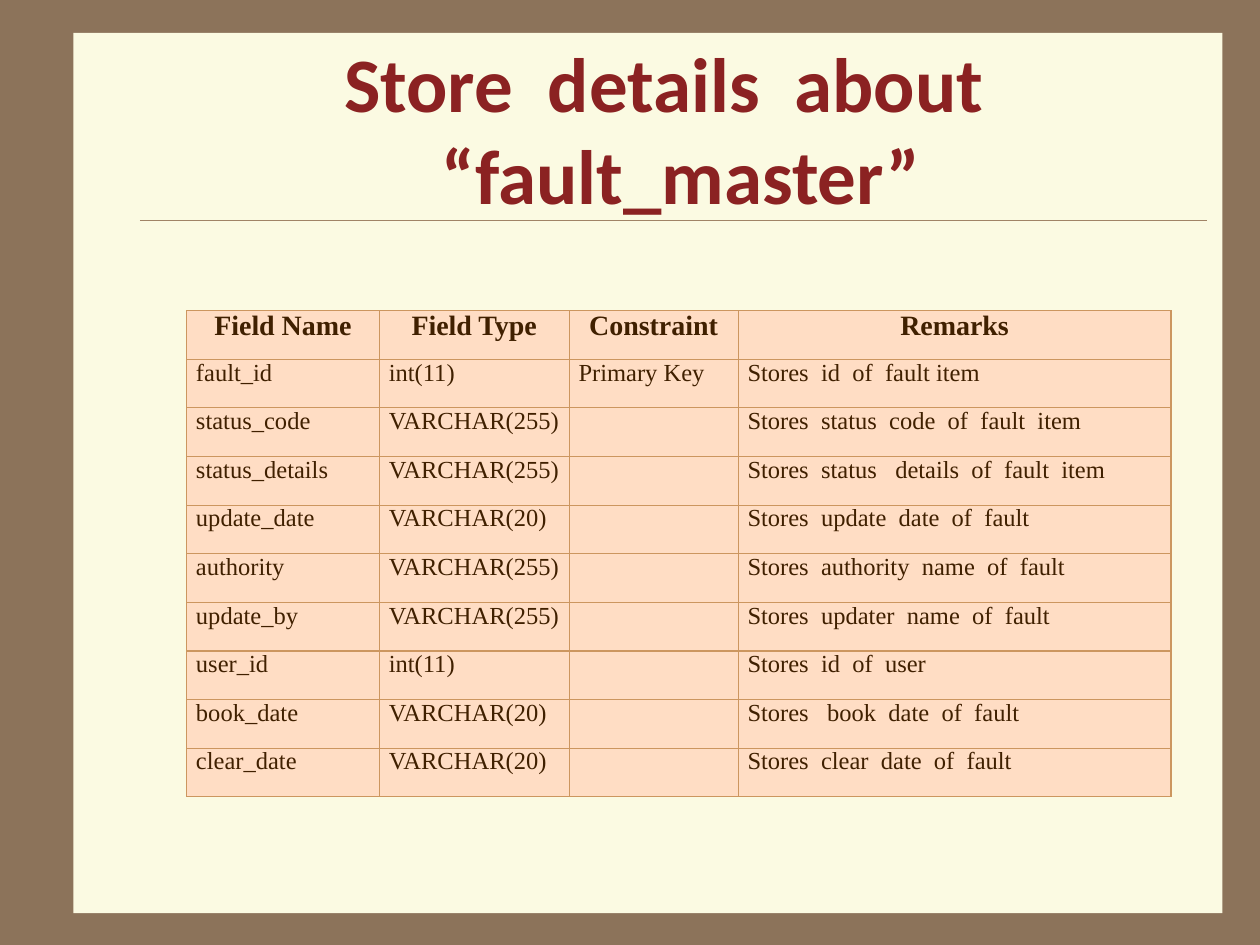
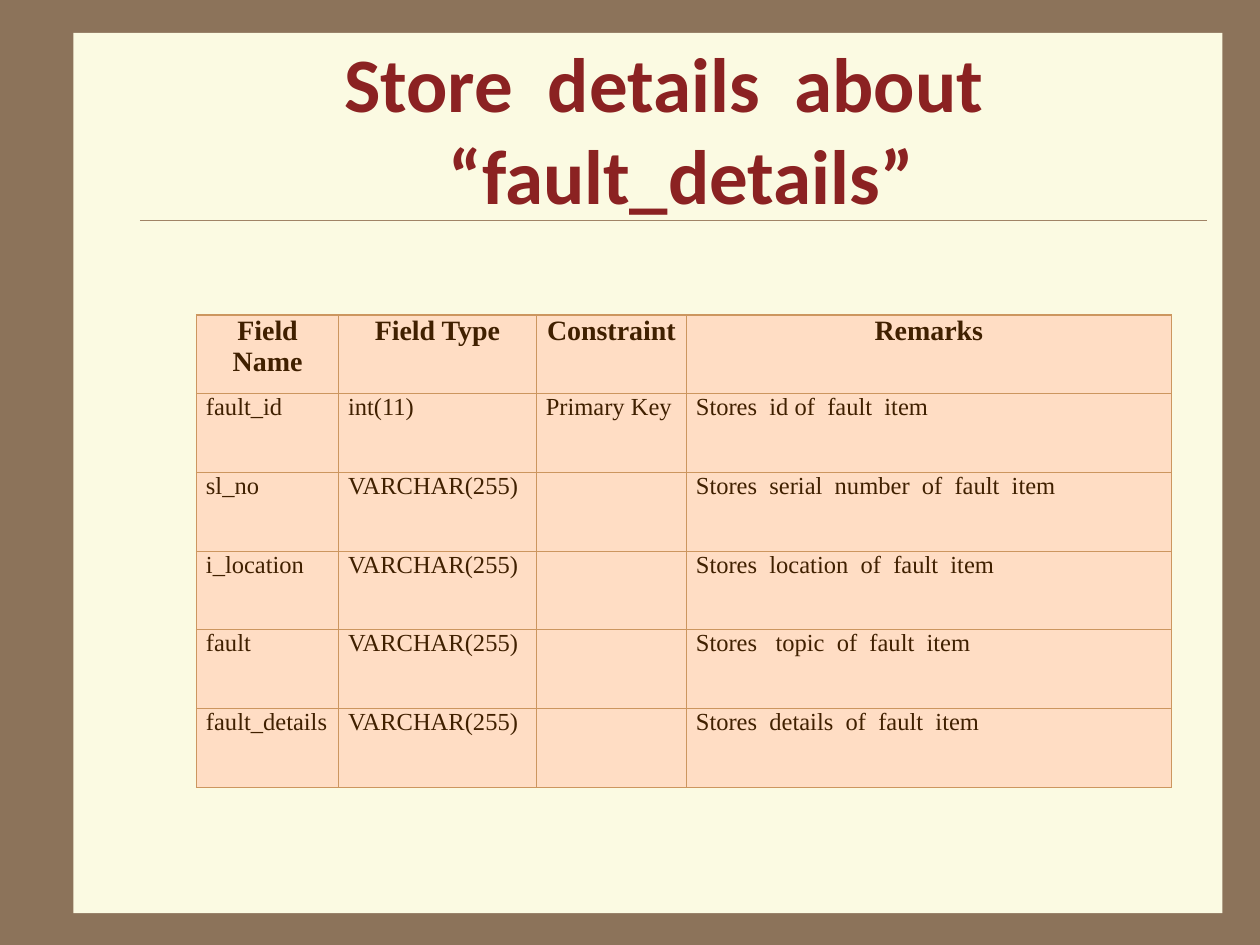
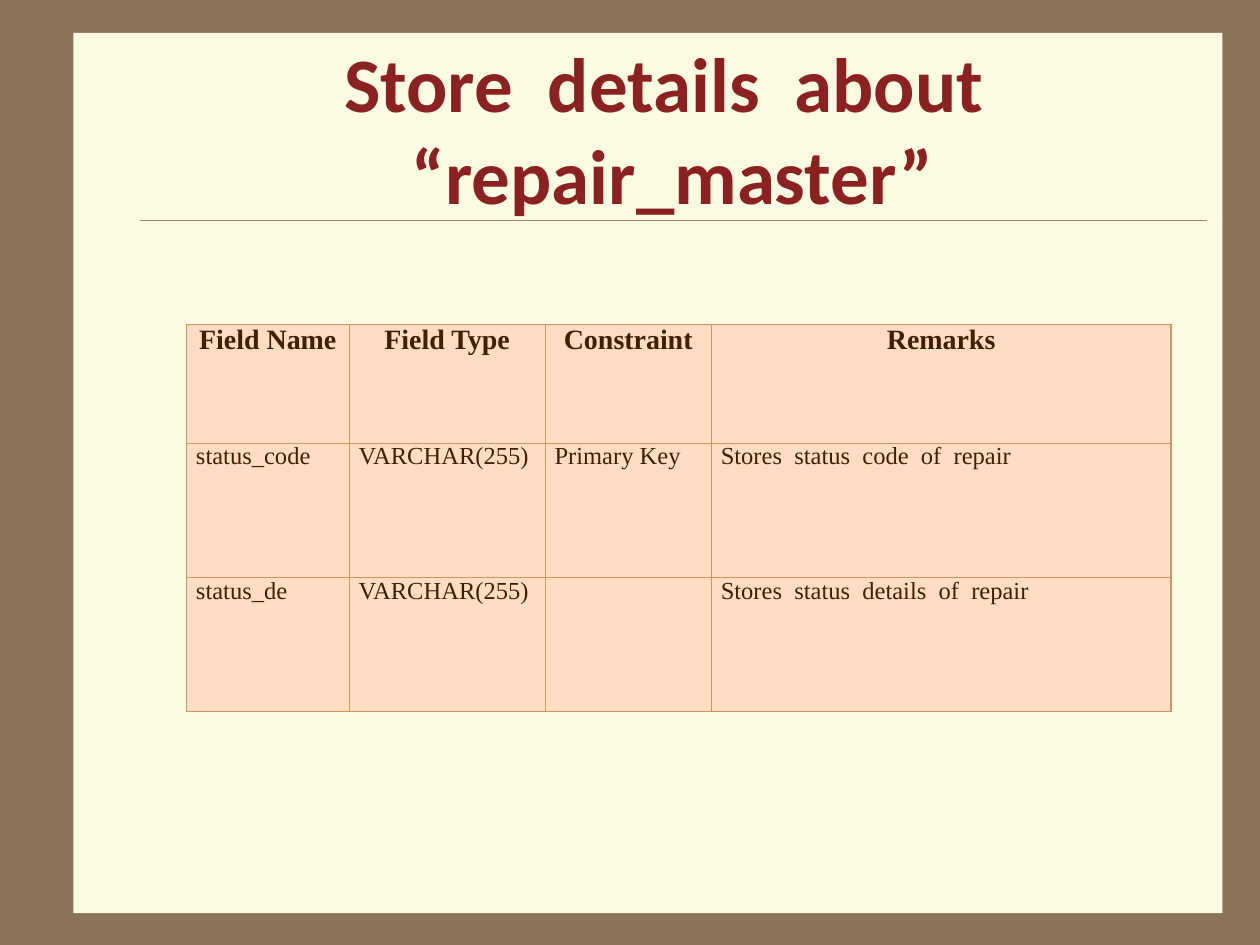
from dataclasses import dataclass

from lxml import etree
from pptx import Presentation
from pptx.dml.color import RGBColor
from pptx.enum import shapes, text
from pptx.oxml import ns
from pptx.util import Pt

BACKGROUND = "8C735A"
PANEL = "FBFAE2"
RULE = "A08366"
TITLE = "8B2222"
CELL_FILL = "FFDDC4"
CELL_BORDER = "CC965F"
CELL_TEXT = "402000"

TITLE_FONT = "Calibri"
TABLE_FONT = "Times New Roman"
HEADERS = ("Field Name", "Field Type", "Constraint", "Remarks")


@dataclass(frozen=True)
class Field:
    name: str
    type: str
    remarks: str
    constraint: str = ""


@dataclass(frozen=True)
class TableSlide:
    """A slide about one database table; lengths are in points."""
    title: str
    left: float
    top: float
    column_widths: tuple[float, ...]
    header_height: float
    row_height: float
    fields: tuple[Field, ...]


TABLE_SLIDES = (
    TableSlide(
        "Store  details  about \v “fault_master”", 106.6, 177.5,
        (110.2, 108.4, 96.6, 247.4), 27.8, 27.8,
        (
            Field("fault_id", "int(11)", "Stores  id  of  fault item", "Primary Key"),
            Field("status_code", "VARCHAR(255)", "Stores  status  code  of  fault  item"),
            Field("status_details", "VARCHAR(255)", "Stores  status   details  of  fault  item"),
            Field("update_date", "VARCHAR(20)", "Stores  update  date  of  fault"),
            Field("authority", "VARCHAR(255)", "Stores  authority  name  of  fault"),
            Field("update_by", "VARCHAR(255)", "Stores  updater  name  of  fault"),
            Field("user_id", "int(11)", "Stores  id  of  user"),
            Field("book_date", "VARCHAR(20)", "Stores   book  date  of  fault"),
            Field("clear_date", "VARCHAR(20)", "Stores  clear  date  of  fault"),
        ),
    ),
    TableSlide(
        "Store  details  about \v “fault_details”", 112.3, 180,
        (81.2, 113, 85.8, 277), 45, 45,
        (
            Field("fault_id", "int(11)", "Stores  id of  fault  item", "Primary Key"),
            Field("sl_no", "VARCHAR(255)", "Stores  serial  number  of  fault  item"),
            Field("i_location", "VARCHAR(255)", "Stores  location  of  fault  item"),
            Field("fault", "VARCHAR(255)", "Stores   topic  of  fault  item"),
            Field("fault_details", "VARCHAR(255)", "Stores  details  of  fault  item"),
        ),
    ),
    TableSlide(
        "Store  details  about \v“repair_master”", 106.6, 185.5,
        (92.9, 112, 95, 262.7), 67.7, 76.8,
        (
            Field("status_code", "VARCHAR(255)", "Stores  status  code  of  repair", "Primary Key"),
            Field("status_de", "VARCHAR(255)", "Stores  status  details  of  repair"),
        ),
    ),
)


def color(hex_value: str) -> RGBColor:
    return RGBColor.from_string(hex_value)


def format_paragraph(paragraph, font_name: str, size: float, hex_color: str,
                     bold: bool, centered: bool) -> None:
    paragraph.alignment = text.PP_ALIGN.CENTER if centered else text.PP_ALIGN.LEFT
    for run in paragraph.runs:
        run.font.name = font_name
        run.font.size = Pt(size)
        run.font.bold = bold
        run.font.color.rgb = color(hex_color)


def add_frame(slide) -> None:
    """Add the cream panel and the thin rule under the title."""
    panel = slide.shapes.add_shape(shapes.MSO_SHAPE.RECTANGLE,
                                   Pt(42), Pt(18.75), Pt(656.5), Pt(503))
    panel.shadow.inherit = False
    panel.fill.solid()
    panel.fill.fore_color.rgb = color(PANEL)
    panel.line.fill.background()

    rule = slide.shapes.add_connector(shapes.MSO_CONNECTOR.STRAIGHT,
                                      Pt(80), Pt(126), Pt(690), Pt(126))
    rule.line.color.rgb = color(RULE)
    rule.line.width = Pt(0.25)
    etree.SubElement(rule.element.spPr, ns.qn("a:effectLst"))


def add_title(slide, title: str) -> None:
    box = slide.shapes.add_textbox(Pt(78.5), Pt(28), Pt(612), Pt(90))
    frame = box.text_frame
    frame.word_wrap = True
    frame.vertical_anchor = text.MSO_ANCHOR.MIDDLE
    paragraph = frame.paragraphs[0]
    paragraph.text = title
    format_paragraph(paragraph, TITLE_FONT, 44, TITLE, bold=True, centered=True)


def add_borders(cell) -> None:
    properties = cell._tc.get_or_add_tcPr()
    for side in ("lnL", "lnR", "lnT", "lnB"):
        line = etree.SubElement(properties, ns.qn(f"a:{side}"), w=str(Pt(0.75)))
        fill = etree.SubElement(line, ns.qn("a:solidFill"))
        etree.SubElement(fill, ns.qn("a:srgbClr"), val=CELL_BORDER)


def fill_cell(cell, content: str, is_header: bool) -> None:
    cell.margin_left = cell.margin_right = Pt(5.4)
    cell.margin_top = cell.margin_bottom = Pt(0)
    add_borders(cell)
    cell.fill.solid()
    cell.fill.fore_color.rgb = color(CELL_FILL)
    if content:
        paragraph = cell.text_frame.paragraphs[0]
        paragraph.text = content
        format_paragraph(paragraph, TABLE_FONT, 16 if is_header else 14, CELL_TEXT,
                         bold=is_header, centered=is_header)


def add_field_table(slide, content: TableSlide) -> None:
    rows = [HEADERS] + [(field.name, field.type, field.constraint, field.remarks)
                        for field in content.fields]
    height = content.header_height + content.row_height * len(content.fields)
    table = slide.shapes.add_table(
        len(rows), len(HEADERS), Pt(content.left), Pt(content.top),
        Pt(sum(content.column_widths)), Pt(height)).table
    table.first_row = table.horz_banding = False
    for column, width in zip(table.columns, content.column_widths):
        column.width = Pt(width)
    for row_index, values in enumerate(rows):
        is_header = row_index == 0
        table.rows[row_index].height = Pt(
            content.header_height if is_header else content.row_height)
        for column_index, value in enumerate(values):
            fill_cell(table.cell(row_index, column_index), value, is_header)


def main() -> None:
    presentation = Presentation()
    presentation.slide_width = Pt(720)
    presentation.slide_height = Pt(540)
    background = presentation.slide_master.background.fill
    background.solid()
    background.fore_color.rgb = color(BACKGROUND)
    blank_layout = presentation.slide_layouts[6]
    for content in TABLE_SLIDES:
        slide = presentation.slides.add_slide(blank_layout)
        add_frame(slide)
        add_title(slide, content.title)
        add_field_table(slide, content)
    presentation.save("out.pptx")


if __name__ == "__main__":
    main()
